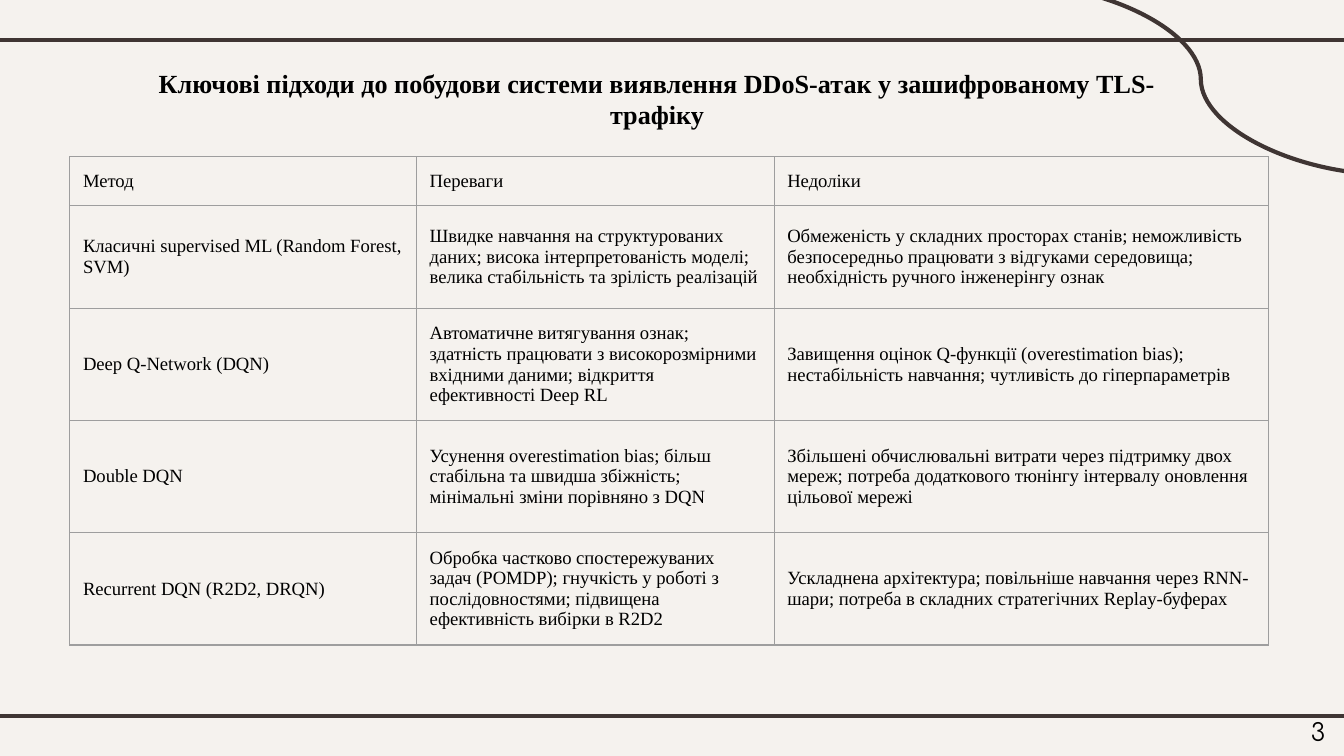
from lxml import etree
from pptx import Presentation, util as u
from pptx.dml.color import RGBColor
from pptx.enum import shapes, text
from pptx.oxml import ns

INK, BLACK, GRID, PAPER = "3F3533", "000000", "9E9E9E", "F5F2EE"
SERIF = "Times New Roman"
INSET = u.Cm(0.25)

APPROACHES = [
    ("Метод", "Переваги", "Недоліки"),
    ("Класичні supervised ML (Random Forest, SVM)",
     "Швидке навчання на структурованих даних; висока інтерпретованість моделі; "
     "велика стабільність та зрілість реалізацій",
     "Обмеженість у складних просторах станів; неможливість безпосередньо працювати "
     "з відгуками середовища; необхідність ручного інженерінгу ознак"),
    ("Deep Q-Network (DQN)",
     "Автоматичне витягування ознак; здатність працювати з високорозмірними "
     "вхідними даними; відкриття ефективності Deep RL",
     "Завищення оцінок Q-функції (overestimation bias); нестабільність навчання; "
     "чутливість до гіперпараметрів"),
    ("Double DQN",
     "Усунення overestimation bias; більш стабільна та швидша збіжність; "
     "мінімальні зміни порівняно з DQN",
     "Збільшені обчислювальні витрати через підтримку двох мереж; потреба "
     "додаткового тюнінгу інтервалу оновлення цільової мережі"),
    ("Recurrent DQN (R2D2, DRQN)",
     "Обробка частково спостережуваних задач (POMDP); гнучкість у роботі з "
     "послідовностями; підвищена ефективність вибірки в R2D2",
     "Ускладнена архітектура; повільніше навчання через RNN-шари; потреба в "
     "складних стратегічних Replay-буферах"),
]
COLUMN_WIDTHS = [6.55, 6.76, 9.35]
ROW_HEIGHTS = [0.92, 1.95, 2.12, 2.12, 2.12]


def color(hex_value):
    return RGBColor.from_string(hex_value)


def apply(target, values):
    for name, value in values.items():
        setattr(target, name, value)


def write(frame, words, size, font=SERIF, bold=False, align=text.PP_ALIGN.LEFT):
    paragraph = frame.paragraphs[0]
    paragraph.alignment = align
    run = paragraph.add_run()
    run.text = words
    apply(run.font, {"size": u.Pt(size), "name": font, "bold": bold})
    run.font.color.rgb = color(BLACK)


def set_frame(frame):
    apply(frame, {
        "word_wrap": True, "auto_size": text.MSO_AUTO_SIZE.NONE,
        "vertical_anchor": text.MSO_ANCHOR.TOP,
        "margin_left": INSET, "margin_right": INSET,
        "margin_top": INSET, "margin_bottom": INSET})


def add_rule(slide, kind, *ends):
    rule = slide.shapes.add_connector(kind, *map(u.Cm, ends))
    rule.line.color.rgb = color(INK)
    rule.line.width = u.Pt(2.25)
    etree.SubElement(rule._element.spPr, ns.qn("a:effectLst"))


def add_heading(slide, words):
    heading = slide.shapes.title
    apply(heading, {"left": u.Cm(1.98), "top": u.Cm(1.02),
                    "width": u.Cm(20.88), "height": u.Cm(1.09)})
    set_frame(heading.text_frame)
    write(heading.text_frame, words, 14, bold=True, align=text.PP_ALIGN.CENTER)


def add_page_number(slide, number):
    box = slide.shapes.add_textbox(u.Cm(23.77), u.Cm(13.31), u.Cm(1.52), u.Cm(1.09))
    set_frame(box.text_frame)
    write(box.text_frame, number, 13, "Comfortaa", align=text.PP_ALIGN.RIGHT)


def outline_cell(cell):
    props = cell._tc.get_or_add_tcPr()
    for position, side in enumerate(("lnL", "lnR", "lnT", "lnB")):
        border = etree.Element(ns.qn(f"a:{side}"), w=str(u.Pt(0.75)))
        fill = etree.SubElement(border, ns.qn("a:solidFill"))
        etree.SubElement(fill, ns.qn("a:srgbClr"), val=GRID)
        props.insert(position, border)


def add_comparison(slide, rows):
    table = slide.shapes.add_table(
        len(rows), len(COLUMN_WIDTHS), u.Cm(1.32), u.Cm(2.96),
        u.Cm(sum(COLUMN_WIDTHS)), u.Cm(sum(ROW_HEIGHTS))).table
    apply(table, {"first_row": False, "horz_banding": False})
    for column, width in zip(table.columns, COLUMN_WIDTHS):
        column.width = u.Cm(width)
    for row, height, entries in zip(table.rows, ROW_HEIGHTS, rows):
        row.height = u.Cm(height)
        for cell, words in zip(row.cells, entries):
            apply(cell, {
                "vertical_anchor": text.MSO_ANCHOR.MIDDLE,
                "margin_left": INSET, "margin_right": INSET,
                "margin_top": INSET, "margin_bottom": INSET})
            cell.fill.background()
            outline_cell(cell)
            write(cell.text_frame, words, 10)


def main():
    deck = Presentation()
    apply(deck, {"slide_width": u.Cm(25.4), "slide_height": u.Cm(14.29)})
    slide = deck.slides.add_slide(deck.slide_layouts[5])
    slide.background.fill.solid()
    slide.background.fill.fore_color.rgb = color(PAPER)

    # Frame lines and the corner curve
    for height in (0.76, 13.54):
        add_rule(slide, shapes.MSO_CONNECTOR.STRAIGHT, -0.2, height, 25.6, height)
    add_rule(slide, shapes.MSO_CONNECTOR.CURVE, 19.13, -0.3, 26.26, 3.3)

    # Heading, page number and comparison of methods
    add_heading(slide, "Ключові підходи до побудови системи виявлення DDoS-атак "
                       "у зашифрованому TLS-трафіку")
    add_page_number(slide, "3")
    add_comparison(slide, APPROACHES)
    deck.save("out.pptx")


if __name__ == "__main__":
    main()
